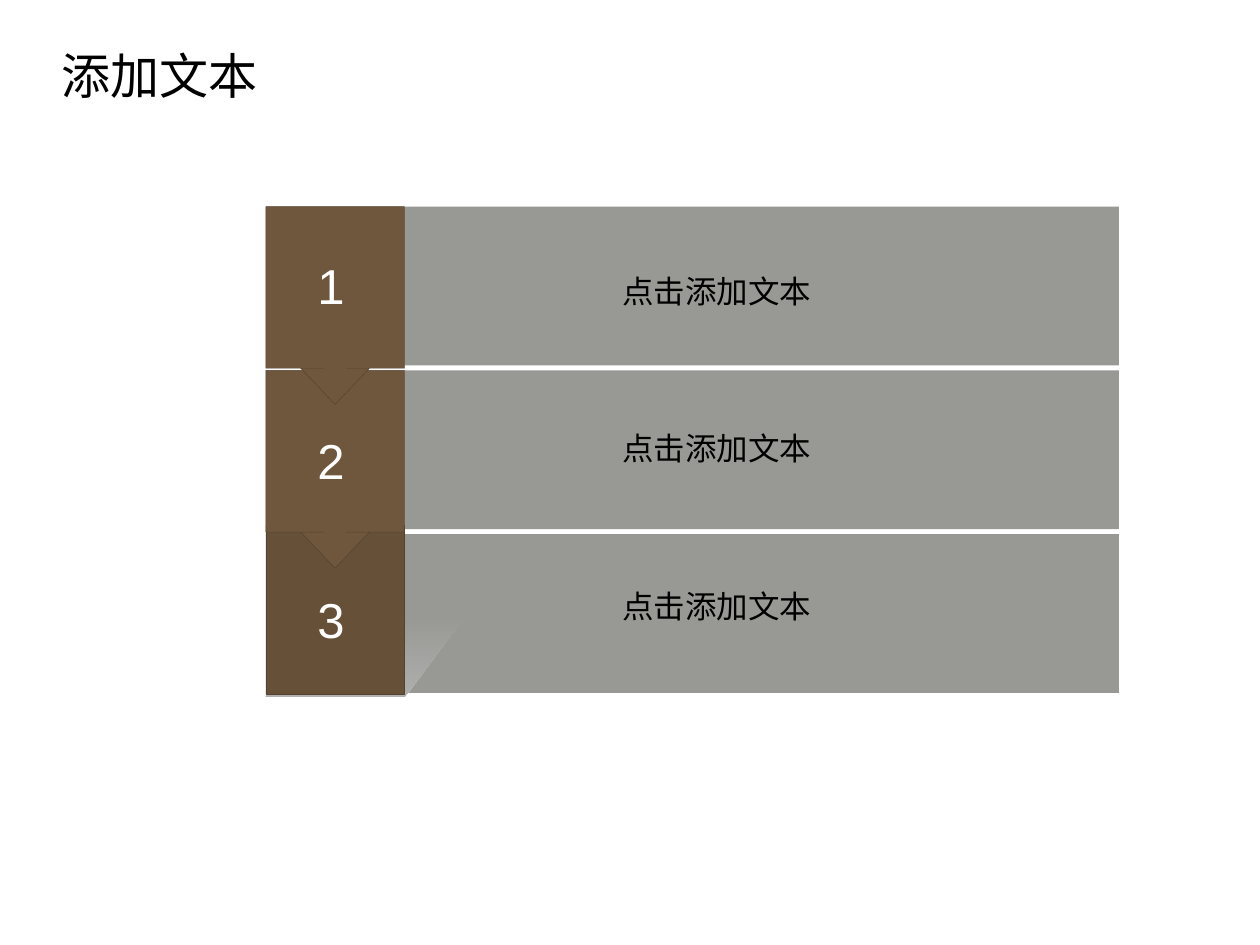
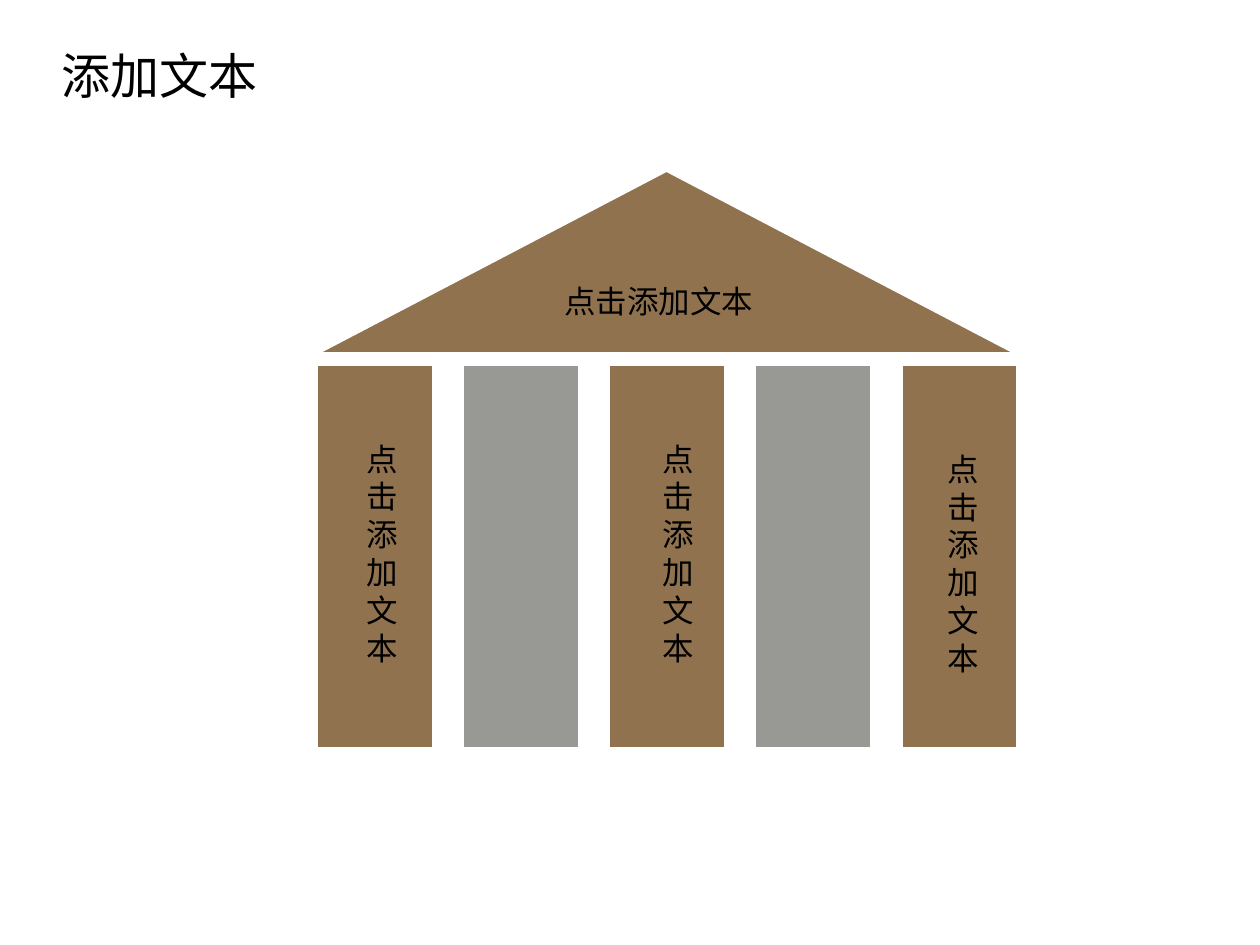
from lxml.etree import SubElement
from pptx import Presentation
from pptx.dml.color import RGBColor
from pptx.enum.shapes import MSO_SHAPE
from pptx.enum.text import MSO_AUTO_SIZE
from pptx.oxml.ns import qn
from pptx.util import Inches, Pt

COLORS = {
    "black": "000000",
    "white": "FFFFFF",
    "gray": "989894",
    "brown": "90724F",
    "step": "6E573C",
    "last_step": "665038",
    "seam": "54422E",
    "shade": "B0B0B0",
}
LATIN_FONT = "Arial"
CHINESE_FONT = "Noto Sans CJK SC"
TITLE = "添加文本"
LABEL = "点击添加文本"


def rgb(name):
    return RGBColor.from_string(COLORS[name])


def add_block(shapes, kind, left, top, width, height, fill, line=None, weight=0):
    """Add a flat preset shape, with an outline only when a line colour is given."""
    block = shapes.add_shape(kind, Inches(left), Inches(top), Inches(width), Inches(height))
    block.shadow.inherit = False
    block.fill.solid()
    block.fill.fore_color.rgb = rgb(fill)
    if line:
        block.line.color.rgb = rgb(line)
        block.line.width = Pt(weight)
    else:
        block.line.fill.background()
    return block


def add_text(page, text, left, top, width, height, size=18, font=CHINESE_FONT,
             color="black", wrap=False):
    box = page.shapes.add_textbox(Inches(left), Inches(top), Inches(width), Inches(height))
    frame = box.text_frame
    frame.word_wrap = wrap
    frame.auto_size = MSO_AUTO_SIZE.SHAPE_TO_FIT_TEXT
    span = frame.paragraphs[0].add_run()
    span.text = text
    span.font.size = Pt(size)
    span.font.color.rgb = rgb(color)
    span.font.name = font
    SubElement(span.font._element, qn("a:ea"), typeface=font)
    return span


def add_text_shadow(span):
    """Put a hard black shadow behind the text, right after its fill."""
    properties = span.font._element
    effects = SubElement(properties, qn("a:effectLst"))
    shadow = SubElement(effects, qn("a:outerShdw"), dist="17961", dir="2700000")
    SubElement(shadow, qn("a:srgbClr"), val=COLORS["black"])
    properties.find(qn("a:solidFill")).addnext(effects)


def add_cast_shade(page, points):
    """Add a slanted shade that fades out towards its top."""
    corners = [(Inches(x), Inches(y)) for x, y in points]
    builder = page.shapes.build_freeform(*corners[0])
    builder.add_line_segments(corners[1:], close=True)
    shade = builder.convert_to_shape()
    shade.shadow.inherit = False
    shade.line.fill.background()
    shade.fill.gradient()
    shade.fill.gradient_angle = 270
    for stop, opacity in zip(shade.fill.gradient_stops, ("0", "100000")):
        stop.color.rgb = rgb("shade")
        stop.position = int(opacity) / 100000
    stops = shade._element.spPr.iter(qn("a:srgbClr"))
    for color, opacity in zip(list(stops), ("0", "100000")):
        SubElement(color, qn("a:alpha"), val=opacity)


def add_page(deck):
    page = deck.slides.add_slide(deck.slide_layouts[6])
    add_text(page, TITLE, 0.39, 0.31, 1.77, 0.57, size=28)
    return page


def build_steps(deck):
    page = add_page(deck)
    left, step_width, first_top, pitch = 2.11, 1.1, 1.64, 1.3
    row_tops = [first_top + pitch * row for row in range(3)]

    # Gray rows, with the shade cast by the column of steps
    for top in row_tops:
        add_block(page.shapes, MSO_SHAPE.RECTANGLE, left + step_width, top, 5.67, 1.26, "gray")
    add_cast_shade(page, [(2.11, 5.53), (3.21, 5.53), (3.68, 4.9), (2.42, 4.9)])

    # Column of steps, from the bottom up so each arrow covers the next step
    add_block(page.shapes, MSO_SHAPE.RECTANGLE, left, 4.17, step_width, 1.34,
              "last_step", "seam", 0.25)
    for top in reversed(row_tops[:2]):
        step = add_block(page.shapes, MSO_SHAPE.DOWN_ARROW_CALLOUT, left, top,
                         step_width, 1.57, "step", "seam", 0.25)
        for index, value in enumerate((0.156, 0.248, 0.261, 0.817)):
            step.adjustments[index] = value

    # Numbers and row labels
    for number, top in enumerate((1.98, 3.37, 4.63), start=1):
        span = add_text(page, str(number), 2.42, top, 0.42, 0.57, 28, LATIN_FONT, "white")
        add_text_shadow(span)
    for row in range(3):
        add_text(page, LABEL, 4.84, 2.11 + 1.25 * row, 1.72, 0.4)


def build_temple(deck):
    page = add_page(deck)

    # Roof and five pillars in alternating colours
    temple = page.shapes.add_group_shape().shapes
    for index in range(5):
        fill = "gray" if index % 2 else "brown"
        add_block(temple, MSO_SHAPE.RECTANGLE, 2.51 + 1.16 * index, 2.89, 0.93, 3.05,
                  fill, "white", 2)
    add_block(temple, MSO_SHAPE.ISOSCELES_TRIANGLE, 2.5, 1.35, 5.58, 1.46,
              "brown", "white", 2)

    # Roof label, then narrow boxes that stack the characters on the brown pillars
    add_text(page, LABEL, 4.38, 2.19, 1.72, 0.4)
    for left, top in ((2.81, 3.44), (5.16, 3.44), (7.42, 3.52)):
        add_text(page, LABEL, left, top, 0.31, 1.92, wrap=True)


def main():
    deck = Presentation()
    deck.slide_width = Inches(10)
    deck.slide_height = Inches(7.5)
    build_steps(deck)
    build_temple(deck)
    deck.save("out.pptx")


if __name__ == "__main__":
    main()
